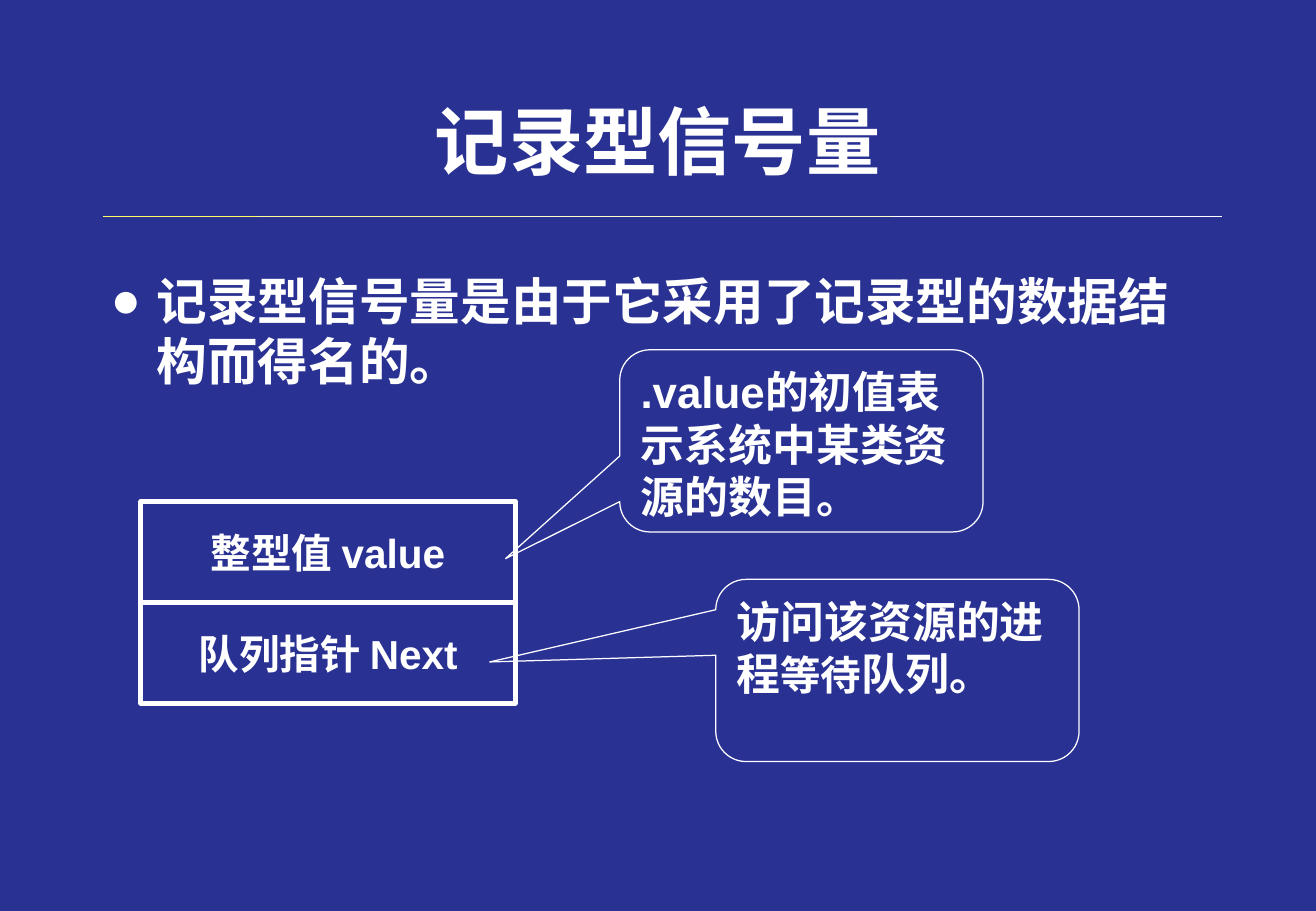
from lxml import etree
from pptx import Presentation
from pptx.dml.color import RGBColor
from pptx.enum import shapes, text
from pptx.oxml import ns
from pptx.util import Inches, Pt

NAVY = RGBColor(0x29, 0x31, 0x93)
WHITE = RGBColor(0xFF, 0xFF, 0xFF)
CREAM = RGBColor(0xFF, 0xFF, 0xCC)
PALE = RGBColor(0xFF, 0xFF, 0x99)
YELLOW = RGBColor(0xFF, 0xFF, 0x66)
LATIN, HAN = "Arial", "Noto Sans CJK SC"
LEFT, MIDDLE = text.PP_ALIGN.LEFT, text.MSO_ANCHOR.MIDDLE
CENTER, TOP = text.PP_ALIGN.CENTER, text.MSO_ANCHOR.TOP


def child(parent, tag, **attrs):
    return etree.SubElement(parent, ns.qn(tag), attrs)


def place(shape, box):
    shape.left, shape.top, shape.width, shape.height = map(Inches, box)


def write(shape, *runs, font=LATIN, align=LEFT, anchor=TOP, wrap=True):
    """Fill a shape with one paragraph of (words, size) runs."""
    frame = shape.text_frame
    frame.word_wrap = wrap
    frame.auto_size = text.MSO_AUTO_SIZE.NONE
    frame.vertical_anchor = anchor
    para = frame.paragraphs[0]
    para.alignment = align
    para.space_before = Pt(0)
    for words, size in runs:
        run = para.add_run()
        run.text = words
        run.font.name, run.font.size, run.font.bold = font, Pt(size), True
        run.font.color.rgb = WHITE
        child(run.font._element, "a:ea", typeface=HAN)


def outline(slide, kind, box, weight):
    shape = slide.shapes.add_shape(kind, *map(Inches, box))
    shape.shadow.inherit = False
    shape.fill.background()
    shape.line.color.rgb = WHITE
    shape.line.width = Pt(weight)
    return shape


def title(slide, box, words):
    place(slide.shapes.title, box)
    write(slide.shapes.title, (words, 44), font=HAN, align=CENTER, anchor=MIDDLE)


def body(slide, box, words):
    shape = slide.placeholders[1]
    place(shape, box)
    props = shape.text_frame.paragraphs[0]._p.get_or_add_pPr()
    props.set("marL", str(Inches(0.38)))
    props.set("indent", str(-Inches(0.38)))
    color = child(props, "a:buClr")
    child(color, "a:srgbClr", val=str(WHITE))
    child(props, "a:buChar", char="●")
    write(shape, (words, 30))


def rule(slide, left, top, right):
    """Draw a line that fades from yellow to white, right part first."""
    wide, step = 1.084, 0.542
    parts = [(right - step, step, WHITE)]
    for i, color in enumerate([WHITE] * 2 + [CREAM] * 3):
        parts.append((right - step - (i + 1) * wide, wide, color))
    for i, color in enumerate([PALE] * 4 + [YELLOW]):
        parts.append((left + 2.53 - i * step, 0.9, color))
    parts.append((left, 0.72, YELLOW))
    for x, length, color in parts:
        line = slide.shapes.add_connector(
            shapes.MSO_CONNECTOR.STRAIGHT, Inches(x), Inches(top),
            Inches(x + length), Inches(top))
        line.line.color.rgb = color
        line.line.width = Pt(0.75)
        child(line._element.spPr, "a:effectLst")


def record(slide, box, fields):
    x, y, w, h = box
    row = h / len(fields)
    for i, words in enumerate(fields):
        cell = outline(slide, shapes.MSO_SHAPE.FLOWCHART_PROCESS,
                       (x, y + i * row, w, row), 3)
        write(cell, (words, 24), align=CENTER, anchor=MIDDLE, wrap=False)


def callout(slide, box, tip, *runs):
    """Draw a balloon; tip is its point, measured from the box's corner."""
    x, y, w, h = box
    shape = outline(slide, shapes.MSO_SHAPE.ROUNDED_RECTANGULAR_CALLOUT, box, 0.75)
    shape.adjustments[0] = tip[0] / w - 0.5
    shape.adjustments[1] = tip[1] / h - 0.5
    write(shape, *runs)


def main():
    deck = Presentation()
    deck.slide_width, deck.slide_height = Inches(10.83), Inches(7.5)
    slide = deck.slides.add_slide(deck.slide_layouts[1])
    slide.background.fill.solid()
    slide.background.fill.fore_color.rgb = NAVY
    rule(slide, 0.85, 1.78, 10.06)
    title(slide, (0.81, 0.53, 9.21, 1.25), "记录型信号量")
    body(slide, (0.81, 2.17, 9.21, 4.92),
         "记录型信号量是由于它采用了记录型的数据结构而得名的。")
    record(slide, (1.16, 4.13, 3.08, 1.66), ["整型值 value", "队列指针 Next"])
    callout(slide, (5.1, 2.88, 2.99, 1.5), (-0.94, 1.72),
            (".value的初值表示系统中某类资源的数目。", 26))
    callout(slide, (5.89, 4.77, 2.99, 1.5), (-1.86, 0.68),
            ("访问该资源的进程", 26), ("等待", 24), ("队列。", 26))
    deck.save("out.pptx")


if __name__ == "__main__":
    main()
